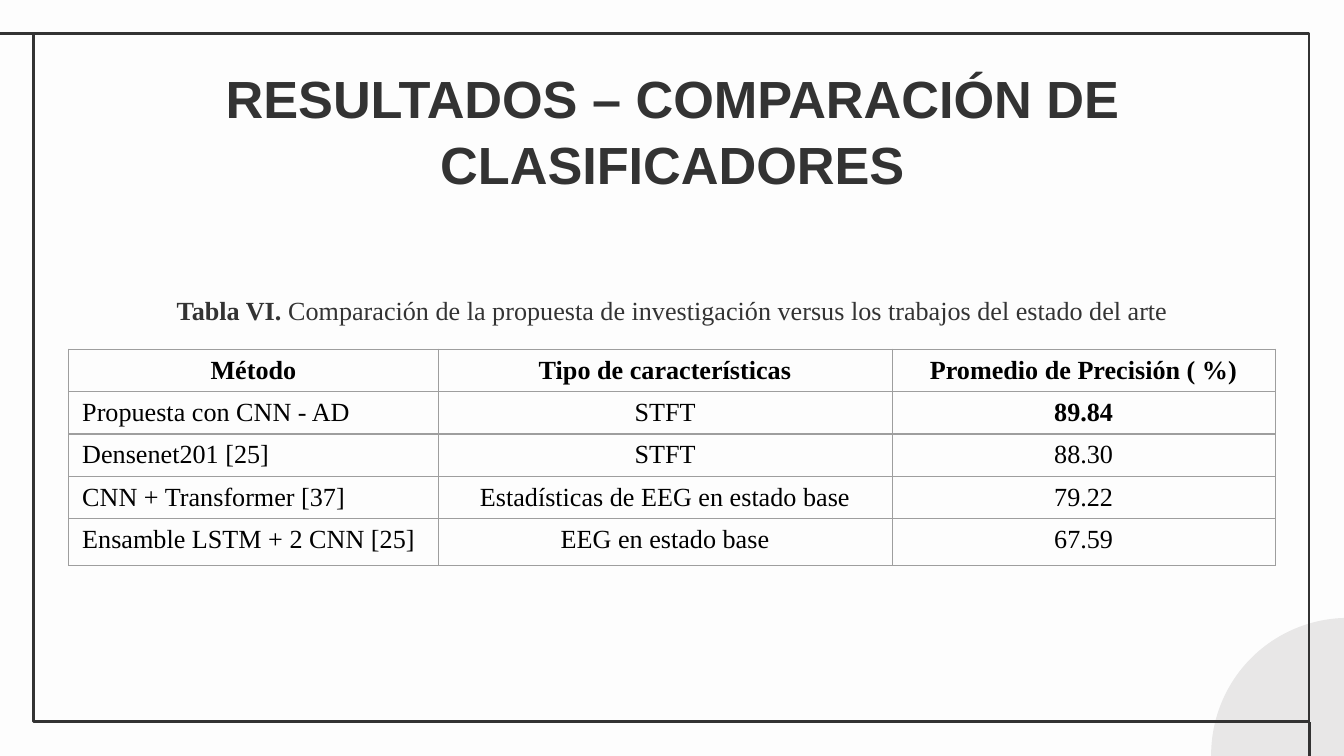
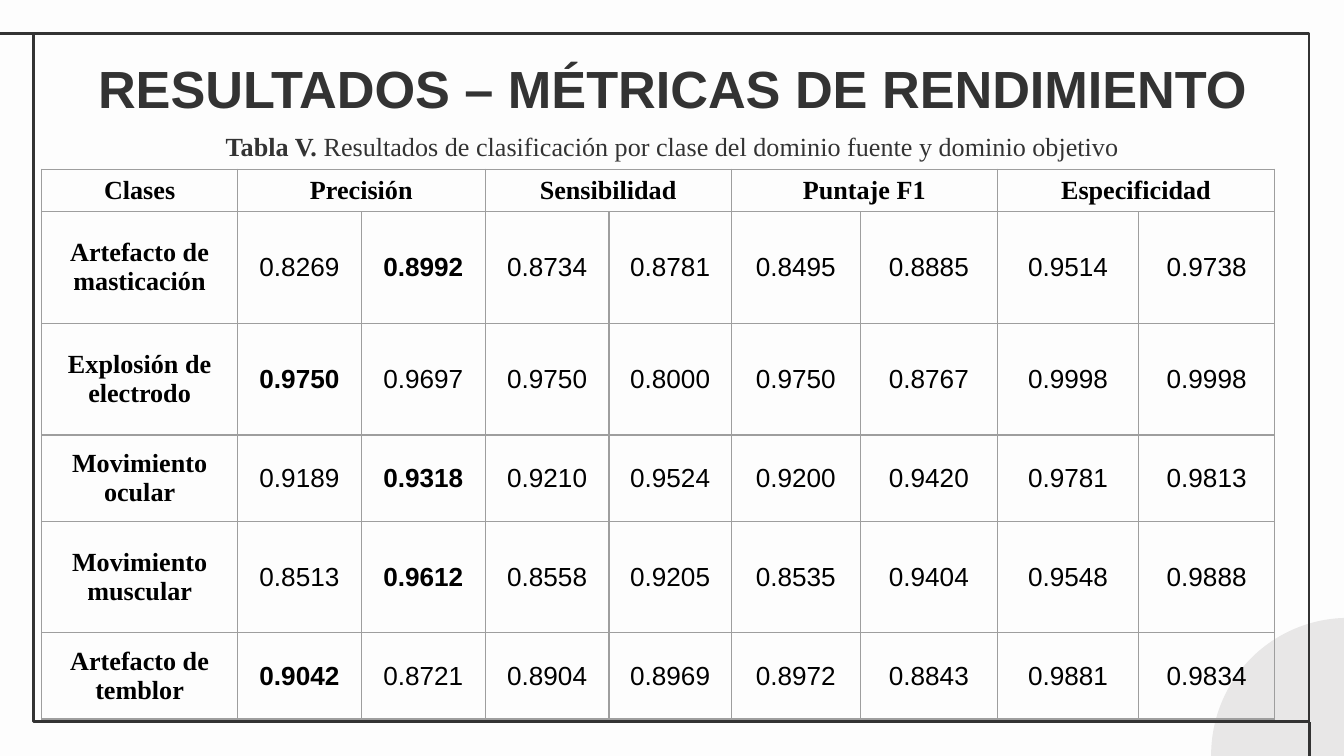
from pptx import Presentation
from pptx.dml.color import RGBColor
from pptx.enum.shapes import MSO_CONNECTOR, MSO_SHAPE
from pptx.enum.text import MSO_ANCHOR, PP_ALIGN
from pptx.oxml import parse_xml
from pptx.oxml.ns import nsdecls
from pptx.util import Cm, Pt

INK = "333333"
BLACK = "000000"
PAPER = "FDFDFD"
DISC = "E8E7E7"
GRID = "9E9E9E"
SANS = "Arial"
SERIF = "Times New Roman"


def color(value):
    return RGBColor.from_string(value)


def add_text(page, left, top, width, height, spans, font_name, size, inset):
    box = page.shapes.add_textbox(Cm(left), Cm(top), Cm(width), Cm(height))
    frame = box.text_frame
    frame.word_wrap = True
    frame.margin_top = frame.margin_bottom = Cm(inset)
    para = frame.paragraphs[0]
    para.alignment = PP_ALIGN.CENTER
    para.font.name = font_name
    para.font.size = Pt(size)
    para.font.color.rgb = color(INK)
    for text, bold in spans:
        span = para.add_run()
        span.text = text
        span.font.bold = bold
    return para


slides = [
    {
        "title": "RESULTADOS – COMPARACIÓN DE CLASIFICADORES",
        "title_top": 0.94,
        "title_height": 2.84,
        "caption": ("Tabla VI. ", "Comparación de la propuesta de investigación versus los trabajos del estado del arte"),
        "caption_top": 5.44,
        "table_left": 1.3,
        "table_top": 6.6,
        "columns": [6.98, 8.58, 7.24],
        "rows": [0.8, 0.8, 0.8, 0.8, 0.89],
        "label_align": PP_ALIGN.LEFT,
        "label_bold": False,
        "value_font": SERIF,
        "anchor": MSO_ANCHOR.TOP,
        "best": {(1, 2)},
        "cells": [
            ["Método", "Tipo de características", "Promedio de Precisión ( %)"],
            ["Propuesta con CNN - AD", "STFT", "89.84"],
            ["Densenet201 [25]", "STFT", "88.30"],
            ["CNN + Transformer [37]", "Estadísticas de EEG en estado base", "79.22"],
            ["Ensamble LSTM + 2 CNN [25]", "EEG en estado base", "67.59"],
        ],
    },
    {
        "title": "RESULTADOS – MÉTRICAS DE RENDIMIENTO",
        "title_top": 0.76,
        "title_height": 1.6,
        "caption": ("Tabla V. ", "Resultados de clasificación por clase del dominio fuente y dominio objetivo"),
        "caption_top": 2.34,
        "table_left": 0.79,
        "table_top": 3.2,
        "columns": [3.7, 2.34, 2.34, 2.34, 2.31, 2.44, 2.59, 2.67, 2.57],
        "rows": [0.8, 2.11, 2.11, 1.63, 2.11, 1.63],
        "label_align": PP_ALIGN.CENTER,
        "label_bold": True,
        "value_font": SANS,
        "anchor": MSO_ANCHOR.MIDDLE,
        "best": {(1, 2), (2, 1), (3, 2), (4, 2), (5, 1)},
        "cells": [
            ["Clases", "Precisión", "", "Sensibilidad", "", "Puntaje F1", "", "Especificidad", ""],
            ["Artefacto de masticación", "0.8269", "0.8992", "0.8734", "0.8781", "0.8495", "0.8885", "0.9514", "0.9738"],
            ["Explosión de electrodo", "0.9750", "0.9697", "0.9750", "0.8000", "0.9750", "0.8767", "0.9998", "0.9998"],
            ["Movimiento ocular", "0.9189", "0.9318", "0.9210", "0.9524", "0.9200", "0.9420", "0.9781", "0.9813"],
            ["Movimiento muscular", "0.8513", "0.9612", "0.8558", "0.9205", "0.8535", "0.9404", "0.9548", "0.9888"],
            ["Artefacto de temblor", "0.9042", "0.8721", "0.8904", "0.8969", "0.8972", "0.8843", "0.9881", "0.9834"],
        ],
    },
]

deck = Presentation()
deck.slide_width = Cm(25.4)
deck.slide_height = Cm(14.29)
master_fill = deck.slide_master.background.fill
master_fill.solid()
master_fill.fore_color.rgb = color(PAPER)

for content in slides:
    page = deck.slides.add_slide(deck.slide_layouts[6])

    disc = page.shapes.add_shape(MSO_SHAPE.OVAL, Cm(22.89), Cm(11.68), Cm(5.18), Cm(5.18))
    disc.shadow.inherit = False
    disc.fill.solid()
    disc.fill.fore_color.rgb = color(DISC)
    disc.line.fill.background()

    border = page.shapes.add_shape(MSO_SHAPE.RECTANGLE, Cm(0.64), Cm(0.64), Cm(24.1), Cm(13))
    border.shadow.inherit = False
    border.fill.background()
    border.line.color.rgb = color(INK)
    border.line.width = Pt(1.5)

    for ends in [(0.66, 0.64, -0.05, 0.64), (24.75, 13.65, 24.75, 14.6)]:
        line = page.shapes.add_connector(MSO_CONNECTOR.STRAIGHT, *map(Cm, ends))
        line.line.color.rgb = color(INK)
        line.line.width = Pt(1.5)
        line._element.spPr.append(parse_xml(f"<a:effectLst {nsdecls('a')}/>"))

    columns, rows, cells = content["columns"], content["rows"], content["cells"]
    table = page.shapes.add_table(
        len(rows), len(columns), Cm(content["table_left"]), Cm(content["table_top"]),
        Cm(sum(columns)), Cm(sum(rows)),
    ).table
    table.first_row = table.horz_banding = False
    for column, width in zip(table.columns, columns):
        column.width = Cm(width)
    for row, height in zip(table.rows, rows):
        row.height = Cm(height)

    for row_index, texts in enumerate(cells):
        for column_index, text in enumerate(texts):
            cell = table.cell(row_index, column_index)
            properties = cell._tc.get_or_add_tcPr()
            for side in ("lnL", "lnR", "lnT", "lnB"):
                properties.append(parse_xml(
                    f'<a:{side} {nsdecls("a")} w="{Pt(0.75)}"><a:solidFill>'
                    f'<a:srgbClr val="{GRID}"/></a:solidFill></a:{side}>'
                ))
            cell.fill.background()
            if not text:
                table.cell(row_index, column_index - 1).merge(cell)
                continue
            header = row_index == 0
            label = column_index == 0
            cell.text = text
            cell.vertical_anchor = content["anchor"]
            para = cell.text_frame.paragraphs[0]
            para.alignment = content["label_align"] if label and not header else PP_ALIGN.CENTER
            para.font.name = SERIF if header or label else content["value_font"]
            para.font.size = Pt(14)
            para.font.bold = header or (label and content["label_bold"]) or (row_index, column_index) in content["best"]
            para.font.color.rgb = color(BLACK)

    lead, description = content["caption"]
    add_text(page, 1.63, content["caption_top"], 22.17, 0.86, [(lead, True), (description, False)], SERIF, 14, 0.13)
    title = add_text(page, 1.3, content["title_top"], 22.81, content["title_height"], [(content["title"], True)], SANS, 28, 0.25)
    title.line_spacing = 1.05

deck.save("out.pptx")
